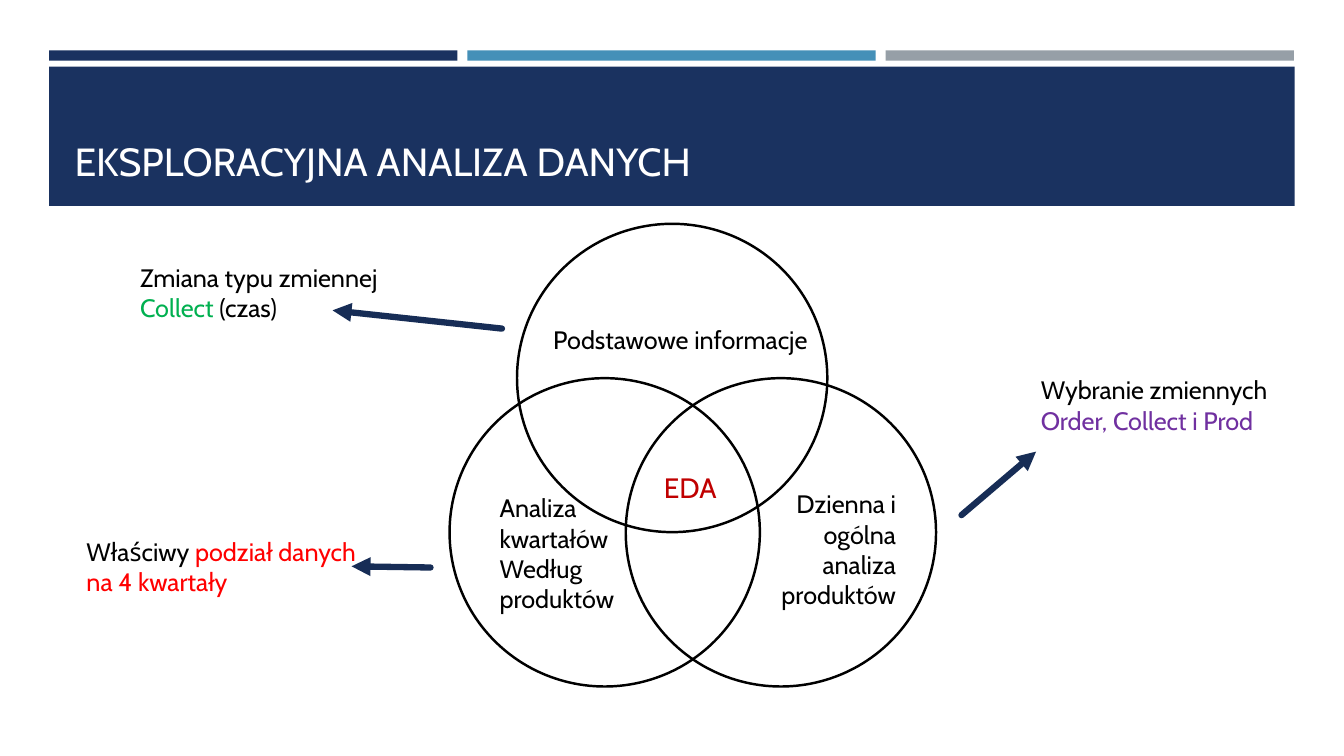
from lxml.etree import SubElement
from pptx import Presentation
from pptx.dml.color import RGBColor
from pptx.enum.shapes import MSO_CONNECTOR, MSO_SHAPE
from pptx.enum.text import MSO_ANCHOR, PP_ALIGN
from pptx.oxml.ns import qn
from pptx.util import Cm, Pt

NAVY = "1A3260"
BLACK = "000000"
BAR_COLORS = [NAVY, "4590B8", "969FA7"]
BAR_LEFT, BAR_PITCH = 1.24, 10.54
CIRCLES = [(13.03, 5.64), (11.33, 9.53), (15.77, 9.53)]
ARROWS = [
    (12.65, 8.28, 8.38, 7.82),
    (10.85, 14.3, 8.86, 14.27),
    (24.23, 12.98, 26.11, 11.38),
]
NOTES = [
    (3.28, 6.48, [[("Zmiana typu zmiennej", BLACK)],
                  [("Collect", "00B050"), (" (czas)", BLACK)]]),
    (1.93, 13.39, [[("Właściwy ", BLACK),
                    ("podział danych na 4 kwartały", "FF0000")]]),
    (25.98, 9.32, [[("Wybranie zmiennych ", BLACK),
                    ("Order, Collect i Prod", "7030A0")]]),
]


def color(value):
    return RGBColor.from_string(value)


def add_band(page, left, top, width, height, fill):
    band = page.shapes.add_shape(
        MSO_SHAPE.RECTANGLE, Cm(left), Cm(top), Cm(width), Cm(height))
    band.shadow.inherit = False
    band.fill.solid()
    band.fill.fore_color.rgb = color(fill)
    band.line.fill.background()


def add_circle(page, left, top):
    circle = page.shapes.add_shape(
        MSO_SHAPE.OVAL, Cm(left), Cm(top), Cm(7.82), Cm(7.77))
    circle.shadow.inherit = False
    circle.fill.background()
    circle.line.color.rgb = color(BLACK)
    circle.line.width = Pt(1.75)


def add_arrow(page, *ends):
    arrow = page.shapes.add_connector(
        MSO_CONNECTOR.STRAIGHT, *[Cm(end) for end in ends])
    arrow.line.color.rgb = color("172D56")
    arrow.line.width = Pt(4.5)
    outline = arrow.line._get_or_add_ln()
    outline.set("cap", "rnd")
    SubElement(outline, qn("a:tailEnd"), type="triangle")
    SubElement(arrow._element.spPr, qn("a:effectLst"))


def add_text(page, paragraphs, left, top, width, height, size=18,
             align=PP_ALIGN.LEFT, anchor=MSO_ANCHOR.TOP):
    box = page.shapes.add_textbox(Cm(left), Cm(top), Cm(width), Cm(height))
    frame = box.text_frame
    frame.word_wrap = True
    frame.vertical_anchor = anchor
    for index, spans in enumerate(paragraphs):
        para = frame.add_paragraph() if index else frame.paragraphs[0]
        para.alignment = align
        for text, tint in spans:
            span = para.add_run()
            span.text = text
            span.font.name = "Cabin"
            span.font.size = Pt(size)
            span.font.color.rgb = color(tint)


def add_header(page):
    for index, fill in enumerate(BAR_COLORS):
        add_band(page, BAR_LEFT + index * BAR_PITCH, 1.27, 10.29, 0.26, fill)
    add_band(page, BAR_LEFT, 1.68, 31.39, 3.51, NAVY)
    add_text(page, [[("EKSPLORACYJNA ANALIZA DANYCH", "FFFFFF")]],
             1.63, 2.03, 30.63, 2.74, size=28, anchor=MSO_ANCHOR.BOTTOM)


def add_diagram(page):
    for circle in CIRCLES:
        add_circle(page, *circle)
    add_text(page, [[("Podstawowe informacje", BLACK)]],
             13.69, 8.05, 7.62, 1.02)
    add_text(page, [[("Analiza kwartałów", BLACK)],
                    [("Według produktów", BLACK)]],
             12.34, 12.29, 5.08, 3.33)
    add_text(page, [[("EDA", "C00000")]], 16.48, 11.73, 7.62, 1.12, size=20)
    add_text(page, [[("Dzienna i ogólna analiza produktów", BLACK)]],
             18.82, 12.19, 4.01, 3.33, align=PP_ALIGN.RIGHT)


def main():
    deck = Presentation()
    deck.slide_width, deck.slide_height = Cm(33.87), Cm(19.05)
    page = deck.slides.add_slide(deck.slide_layouts[6])
    add_header(page)
    add_diagram(page)
    for arrow in ARROWS:
        add_arrow(page, *arrow)
    for left, top, paragraphs in NOTES:
        add_text(page, paragraphs, left, top, 7.62, 1.8)
    deck.save("out.pptx")


if __name__ == "__main__":
    main()
